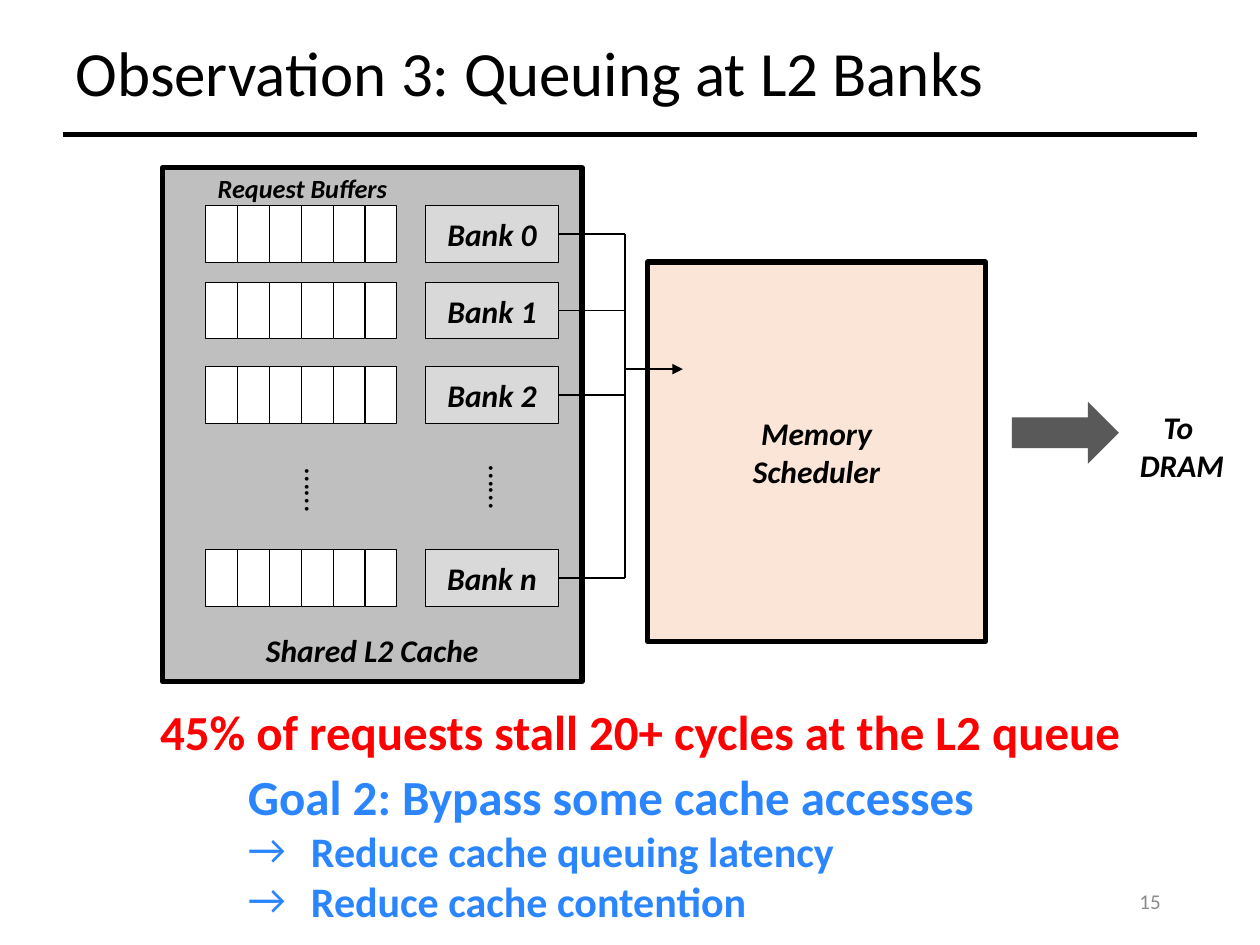
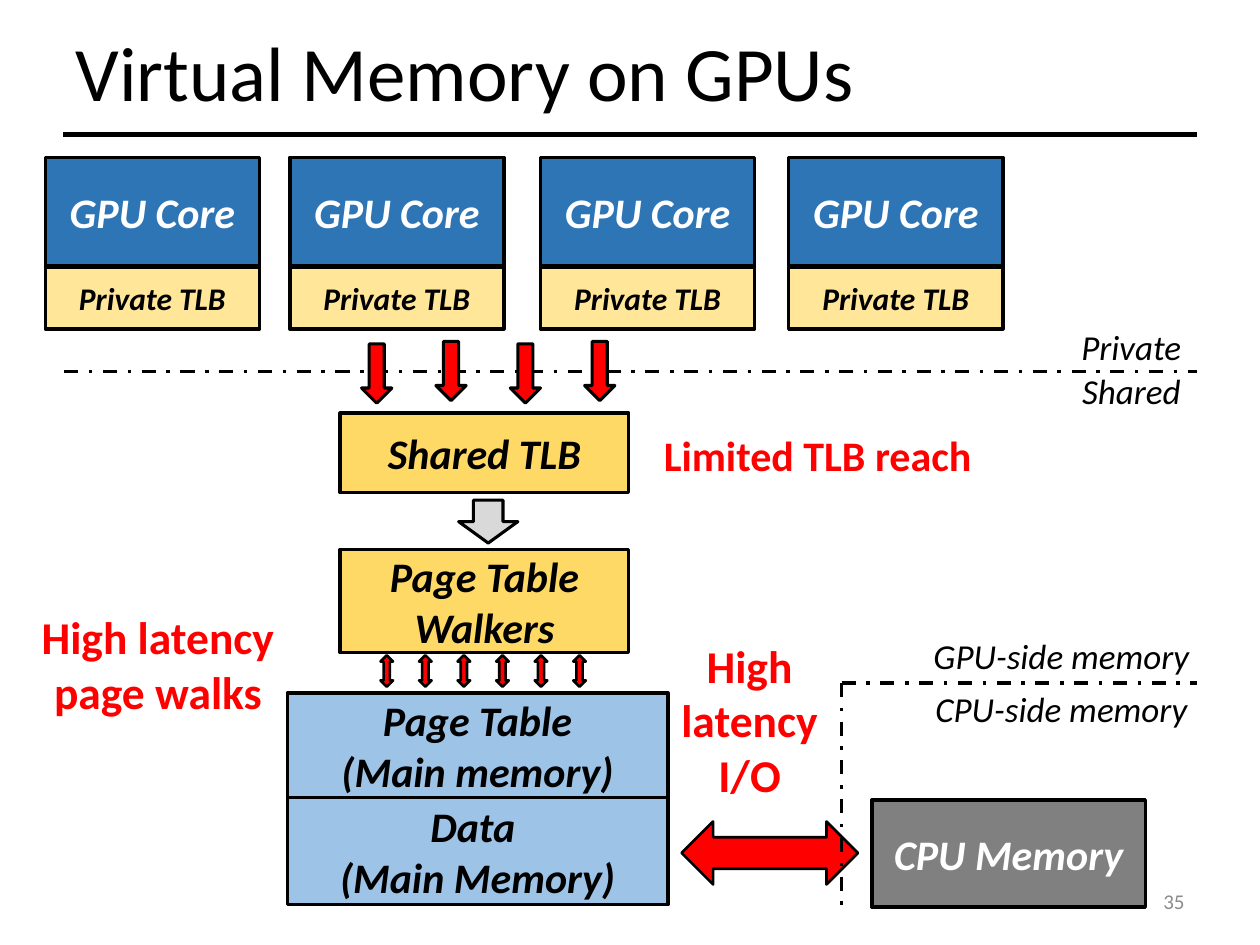
import pptx
import pptx.util
import pptx.dml.color
import pptx.enum.dml
import pptx.enum.shapes
import pptx.enum.text
import pptx.oxml.ns
import lxml.etree

Inches, Pt = pptx.util.Inches, pptx.util.Pt
SHAPE = pptx.enum.shapes.MSO_SHAPE
ALIGN = pptx.enum.text.PP_ALIGN
ANCHOR = pptx.enum.text.MSO_ANCHOR
FONT = "Calibri"
COLORS = {
    "black": "000000", "white": "FFFFFF", "red": "FF0000", "goal": "2A85FF",
    "page": "8C8C8C", "cache": "BFBFBF", "bank": "D9D9D9", "scheduler": "FBE5D6",
    "dram": "595959", "core": "2E75B6", "private": "FFE699", "shared": "FFD966",
    "memory": "9DC3E6", "cpu": "808080",
}

# Content of the queuing slide: bank name and top of its row
BANKS = [("Bank 0", 1.63), ("Bank 1", 2.24), ("Bank 2", 2.91), ("Bank n", 4.36)]
BANK_LEFT, BANK_WIDTH, ROW_HEIGHT = 3.38, 1.05, 0.45
BUFFER_LEFT, BUFFER_WIDTH, BUFFER_SLOTS = 1.63, 1.52, 6
TRUNK_X, SCHEDULER_Y = 4.96, 2.93
ELLIPSES = [(2.24, 3.7), (3.7, 3.68)]
FINDING = "45% of requests stall 20+ cycles at the L2 queue"
GOAL = "Goal 2: Bypass some cache accesses"
BENEFITS = ["Reduce cache queuing latency", "Reduce cache contention"]

# Content of the virtual memory slide
CORE_LEFTS = [0.36, 2.3, 4.29, 6.26]
CORE_PARTS = [  # text, top, height, fill, size, text colour
    ("GPU Core", 1.25, 0.86, "core", 24, "white"),
    ("Private TLB", 2.12, 0.49, "private", 18, "black"),
]
MEMORY_BLOCKS = [  # lines, box, fill, text colour
    (["Shared TLB"], (2.7, 3.28, 2.29, 0.63), "shared", "black"),
    (["Page Table Walkers"], (2.7, 4.36, 2.29, 0.82), "shared", "black"),
    (["Page Table", "(Main memory)"], (2.28, 5.5, 3.02, 0.83), "memory", "black"),
    (["Data ", "(Main Memory)"], (2.28, 6.33, 3.02, 0.85), "memory", "black"),
    (["CPU Memory"], (6.92, 6.35, 2.17, 0.85), "cpu", "white"),
]
PROBLEMS = [  # lines, box, size
    (["Limited TLB reach"], (5.1, 3.24, 2.78, 0.73), 24),
    (["High latency page walks"], (-0.19, 4.47, 2.89, 1.6), 26),
    (["High latency", "I/O"], (4.92, 4.91, 2.06, 1.6), 26),
]
SIDES = [
    ("Private", (8.1, 2.43, 1.76, 0.64)),
    ("Shared", (8.1, 2.78, 1.76, 0.64)),
    ("GPU-side memory", (7.01, 4.88, 2.83, 0.64)),
    ("CPU-side memory", (7.01, 5.3, 2.83, 0.64)),
]


def rgb(name):
    return pptx.dml.color.RGBColor.from_string(COLORS[name])


def add_run(paragraph, text, size, color="black", bold=False, italic=False):
    run = paragraph.add_run()
    run.text = text
    run.font.name, run.font.size = FONT, Pt(size)
    run.font.bold, run.font.italic = bold, italic
    run.font.color.rgb = rgb(color)


def write(shape, lines, size, color="black", bold=True, italic=True,
          align=ALIGN.CENTER, anchor=ANCHOR.MIDDLE, wrap=True):
    frame = shape.text_frame
    frame.word_wrap, frame.vertical_anchor = wrap, anchor
    for index, line in enumerate(lines):
        paragraph = frame.add_paragraph() if index else frame.paragraphs[0]
        paragraph.alignment = align
        add_run(paragraph, line, size, color, bold, italic)


def add_box(slide, box, fill=None, line_width=0, kind=SHAPE.RECTANGLE):
    shape = slide.shapes.add_shape(kind, *map(Inches, box))
    shape.shadow.inherit = False
    if fill:
        shape.fill.solid()
        shape.fill.fore_color.rgb = rgb(fill)
    else:
        shape.fill.background()
    if line_width:
        shape.line.color.rgb = rgb("black")
        shape.line.width = Pt(line_width)
    else:
        shape.line.fill.background()
    return shape


def add_label(slide, box, lines, size, **style):
    """Write centred text in an unfilled rounded box."""
    shape = add_box(slide, box, kind=SHAPE.ROUNDED_RECTANGLE)
    shape.adjustments[0] = 0.09
    write(shape, lines, size, **style)


def add_text(slide, box, lines, size, **style):
    shape = slide.shapes.add_textbox(*map(Inches, box))
    write(shape, lines, size, **style)
    return shape


def add_line(slide, start, end, width, dashed=False, arrow=False):
    line = slide.shapes.add_connector(
        pptx.enum.shapes.MSO_CONNECTOR.STRAIGHT, *map(Inches, start + end))
    line.line.color.rgb = rgb("black")
    line.line.width = Pt(width)
    if dashed:
        line.line.dash_style = pptx.enum.dml.MSO_LINE.DASH_DOT
    if arrow:
        lxml.etree.SubElement(line.line._get_or_add_ln(),
                              pptx.oxml.ns.qn("a:tailEnd"), type="triangle")
    lxml.etree.SubElement(line._element.spPr, pptx.oxml.ns.qn("a:effectLst"))


def start_slide(presentation, title_text, title_size, title_width, page, page_left=7.06):
    """Add a slide with its title, rule and page number."""
    slide = presentation.slides.add_slide(presentation.slide_layouts[5])
    title = slide.shapes.title
    title.left, title.top = Inches(0.5), Inches(0.14)
    title.width, title.height = Inches(title_width), Inches(0.93)
    write(title, [title_text], title_size, bold=False, italic=False, align=ALIGN.LEFT)
    title.text_frame.auto_size = pptx.enum.text.MSO_AUTO_SIZE.NONE
    title.text_frame.paragraphs[0].line_spacing = 0.9
    add_line(slide, (0.5, 1.07), (9.5, 1.07), 3)
    add_text(slide, (page_left, 6.95, 2.25, 0.4), [page], 12, color="page",
             bold=False, italic=False, align=ALIGN.RIGHT)
    return slide


def indent(paragraph, left, hanging=0, bullet=None):
    properties = paragraph._p.get_or_add_pPr()
    properties.set("marL", str(Inches(left)))
    properties.set("indent", str(Inches(-hanging)))
    if bullet:
        lxml.etree.SubElement(properties, pptx.oxml.ns.qn("a:buFont"), typeface=FONT)
        lxml.etree.SubElement(properties, pptx.oxml.ns.qn("a:buChar"), char=bullet)


def build_queuing_slide(presentation):
    slide = start_slide(presentation, "Observation 3: Queuing at L2 Banks", 36, 9, "15")

    # Shared cache
    cache = add_box(slide, (1.29, 1.33, 3.33, 4.08), "cache", 3)
    write(cache, ["Shared L2 Cache"], 18, anchor=ANCHOR.BOTTOM)
    cache.text_frame.margin_bottom = Inches(0.1)
    add_text(slide, (1.63, 1.32, 1.57, 0.35), ["Request Buffers"], 15,
             align=ALIGN.LEFT, anchor=ANCHOR.TOP, wrap=False)
    for left, top in ELLIPSES:
        dots = add_text(slide, (left, top, 0.56, 0.4), ["……"], 18, bold=False,
                        italic=False, align=ALIGN.LEFT, anchor=ANCHOR.TOP, wrap=False)
        dots.rotation = 90

    # Memory scheduler and the way to DRAM
    scheduler = add_box(slide, (5.14, 2.08, 2.68, 3.01), "scheduler", 3)
    write(scheduler, ["Memory", "Scheduler"], 18)
    add_box(slide, (8.03, 3.19, 0.85, 0.49), "dram", kind=SHAPE.RIGHT_ARROW)
    add_text(slide, (8.79, 3.19, 1.18, 0.71), ["To ", "DRAM"], 18, anchor=ANCHOR.TOP)

    # Bank rows: buffer slots, bank and its wire to the trunk
    slot_width = BUFFER_WIDTH / BUFFER_SLOTS
    for name, top in BANKS:
        for slot in range(BUFFER_SLOTS):
            slot_left = BUFFER_LEFT + slot * slot_width
            add_box(slide, (slot_left, top, slot_width, ROW_HEIGHT), "white", 0.5)
        bank = add_box(slide, (BANK_LEFT, top, BANK_WIDTH, ROW_HEIGHT), "bank", 0.5)
        write(bank, [name], 18)
        wire_y = top + ROW_HEIGHT / 2
        add_line(slide, (BANK_LEFT + BANK_WIDTH, wire_y), (TRUNK_X, wire_y), 1)
    first_y, last_y = (BANKS[i][1] + ROW_HEIGHT / 2 for i in (0, -1))
    add_line(slide, (TRUNK_X, last_y), (TRUNK_X, first_y), 1)
    add_line(slide, (TRUNK_X, SCHEDULER_Y), (5.42, SCHEDULER_Y), 1, arrow=True)

    # Finding and goal
    add_text(slide, (0.58, 5.36, 9, 0.88), [FINDING], 28, color="red", italic=False)
    goal = add_text(slide, (1.37, 6.1, 7.64, 1.23), [GOAL], 28, color="goal",
                    italic=False, align=ALIGN.LEFT)
    indent(goal.text_frame.paragraphs[0], 0.5)
    for benefit in BENEFITS:
        paragraph = goal.text_frame.add_paragraph()
        indent(paragraph, 1, 0.5, "→")
        add_run(paragraph, benefit, 24, "goal", bold=True)


def build_memory_slide(presentation):
    # The page number stands to the right of the CPU memory block
    slide = start_slide(presentation, "Virtual Memory on GPUs", 44, 9.5, "35",
                        page_left=7.25)

    # Cores with their private TLBs
    for left in CORE_LEFTS:
        for text, top, height, fill, size, color in CORE_PARTS:
            part = add_box(slide, (left, top, 1.7, height), fill, 2)
            write(part, [text], size, color)

    # Memory blocks
    for lines, box, fill, color in MEMORY_BLOCKS:
        write(add_box(slide, box, fill, 2), lines, 24, color)

    # Border between private and shared parts, with arrows across it
    add_line(slide, (0.51, 2.95), (9.5, 2.95), 2, dashed=True)
    for index in range(4):
        top = 2.71 if index % 2 else 2.73
        add_box(slide, (2.87 + 0.59 * index, top, 0.24, 0.47), "red", 1.75,
                SHAPE.DOWN_ARROW)
    add_box(slide, (3.64, 3.97, 0.47, 0.34), "bank", 1.75, SHAPE.DOWN_ARROW)
    for index in range(6):
        add_box(slide, (3.02 + 1.53 * index / 5, 5.2, 0.1, 0.25), "red", 1.5,
                SHAPE.UP_DOWN_ARROW)
    add_box(slide, (5.41, 6.52, 1.4, 0.5), "red", 1.5, SHAPE.LEFT_RIGHT_ARROW)

    # Border around the CPU side
    corner = (6.68, 5.42)
    for end in [(9.5, 5.42), (6.68, 7.24)]:
        add_line(slide, corner, end, 2, dashed=True)

    # Labels
    for lines, box, size in PROBLEMS:
        add_label(slide, box, lines, size, color="red", italic=False)
    for text, box in SIDES:
        add_label(slide, box, [text], 20, bold=False)


def main():
    presentation = pptx.Presentation()
    presentation.slide_width, presentation.slide_height = Inches(10), Inches(7.5)
    build_queuing_slide(presentation)
    build_memory_slide(presentation)
    presentation.save("out.pptx")


if __name__ == "__main__":
    main()
